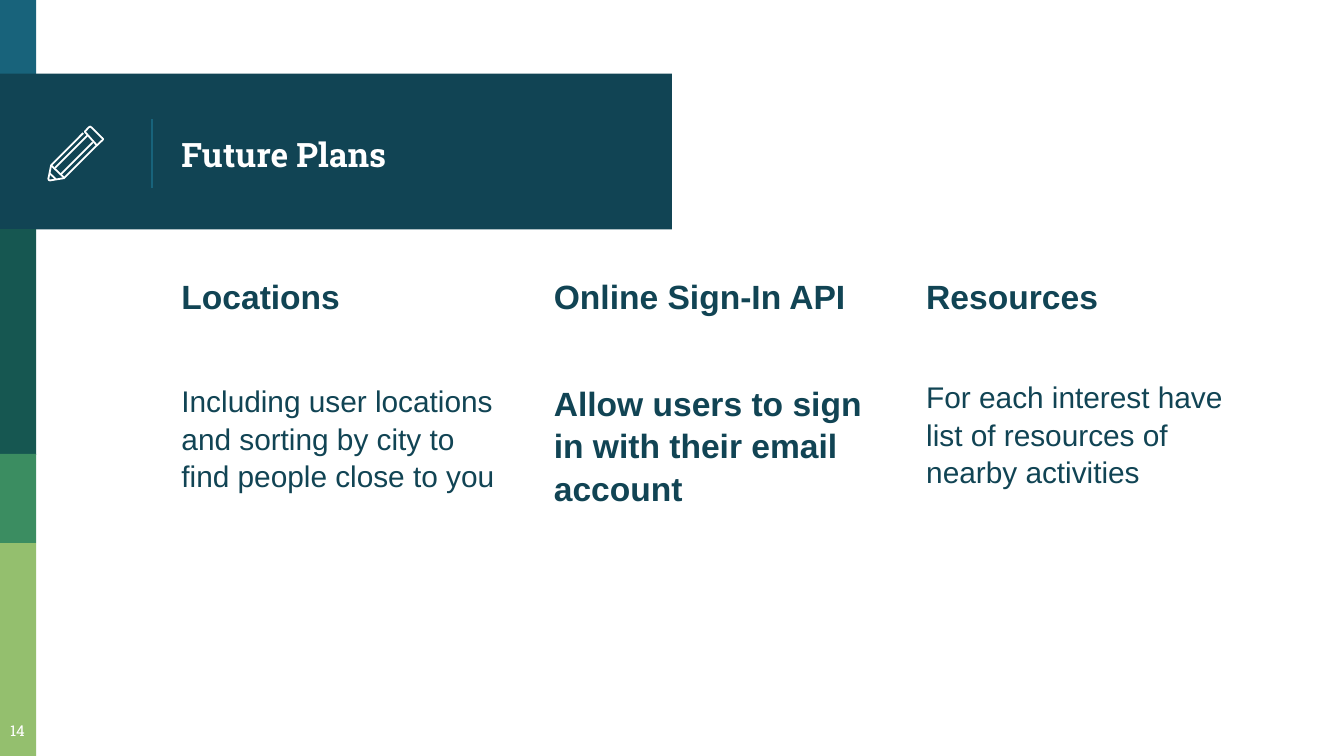
from lxml.etree import SubElement
from pptx import Presentation
from pptx.dml.color import RGBColor
from pptx.enum.shapes import MSO_CONNECTOR, MSO_SHAPE
from pptx.enum.text import MSO_ANCHOR, MSO_AUTO_SIZE, PP_ALIGN
from pptx.oxml.ns import qn
from pptx.util import Pt

NAVY, BLUE, WHITE = "114454", "18637B", "FFFFFF"
STRIPE_WIDTH = 19.4
COLUMN_LEFT, COLUMN_PITCH = 90, 199.5
BANDS = [
    (0, 42, STRIPE_WIDTH, BLUE),
    (39.5, 83.5, 360, NAVY),
    (122.7, 121, STRIPE_WIDTH, "165751"),
    (243.2, 47.8, STRIPE_WIDTH, "3B8D61"),
    (291, 114, STRIPE_WIDTH, "94BF6E"),
]
PLANS = [
    ("Locations",
     "Including user locations and sorting by city to find people close to you",
     16, False, 34.5),
    ("Online Sign-In API",
     "Allow users to sign in with their email account",
     18, True, 34.5),
    ("Resources",
     "For each interest have list of resources of nearby activities",
     16, False, 32.5),
]
PENCIL_STROKES = [
    ([(45.4, 70.6), (47.5, 68.3), (48.2, 67.8), (49, 68.3), (54.8, 74),
      (55.3, 74.6), (54.8, 75.2), (51.9, 77.9)], True),
    ([(49.7, 76.3), (32.4, 93.6)], False),
    ([(44.6, 71.3), (27.4, 88.6), (25.9, 95.8), (26.1, 96.5), (26.8, 96.7),
      (34.3, 95.5), (51.9, 77.9)], False),
    ([(29.5, 90), (46.8, 72.7)], False),
    ([(30, 96), (26.6, 92.8)], False),
    ([(27.4, 88.6), (34.4, 95.2)], False),
]


def color(hex_code):
    """Turn a hex string into a colour."""
    return RGBColor.from_string(hex_code)


def place(shape, left, top, width, height):
    """Move and size a shape, in points."""
    shape.left, shape.top = Pt(left), Pt(top)
    shape.width, shape.height = Pt(width), Pt(height)


def set_frame(frame, anchor=MSO_ANCHOR.TOP):
    """Give a text frame even insets, wrapping and an anchor."""
    frame.auto_size = MSO_AUTO_SIZE.NONE
    frame.word_wrap = True
    frame.vertical_anchor = anchor
    frame.margin_left = frame.margin_right = Pt(7.2)
    frame.margin_top = frame.margin_bottom = Pt(7.2)


def write(paragraph, text, size, hex_code, face, bold=False,
          align=PP_ALIGN.LEFT):
    """Fill a paragraph and set its font and alignment."""
    paragraph.text = text
    paragraph.alignment = align
    font = paragraph.font
    font.name, font.size, font.bold = face, Pt(size), bold
    font.color.rgb = color(hex_code)


def add_band(slide, top, height, width, hex_code):
    """Draw a flat band from the left edge."""
    band = slide.shapes.add_shape(
        MSO_SHAPE.RECTANGLE, Pt(0), Pt(top), Pt(width), Pt(height))
    band.shadow.inherit = False
    band.fill.solid()
    band.fill.fore_color.rgb = color(hex_code)
    band.line.fill.background()


def add_divider(slide):
    """Draw the thin upright line beside the title."""
    divider = slide.shapes.add_connector(
        MSO_CONNECTOR.STRAIGHT, Pt(81.4), Pt(64), Pt(81.4), Pt(100.8))
    divider.line.color.rgb = color(BLUE)
    divider.line.width = Pt(0.75)
    SubElement(divider._element.spPr, qn("a:effectLst"))


def add_stroke(slide, points, closed):
    """Draw one white outline of the pencil."""
    vertices = [(Pt(x), Pt(y)) for x, y in points]
    builder = slide.shapes.build_freeform(*vertices[0])
    builder.add_line_segments(vertices[1:], close=closed)
    stroke = builder.convert_to_shape()
    stroke.shadow.inherit = False
    stroke.fill.background()
    stroke.line.color.rgb = color(WHITE)
    stroke.line.width = Pt(0.96)


def add_title(slide):
    """Set the title in the dark band."""
    title = slide.shapes.title
    place(title, 90, 42, 252.7, 80.6)
    set_frame(title.text_frame, MSO_ANCHOR.MIDDLE)
    write(title.text_frame.paragraphs[0], "Future Plans", 18, WHITE,
          "Roboto Slab", True)


def fill_column(column, left, heading, detail, size, bold, gap):
    """Set one plan as a heading and its detail."""
    place(column, left, 139.7, 190, 248.4)
    frame = column.text_frame
    set_frame(frame)
    lines = [(heading, 18, True, 6), (detail, size, bold, gap)]
    for number, (text, points, heavy, before) in enumerate(lines):
        paragraph = frame.add_paragraph() if number else frame.paragraphs[0]
        paragraph.space_before = Pt(before)
        paragraph.line_spacing = 1.05
        properties = paragraph._p.get_or_add_pPr()
        properties.set("marL", "0")
        properties.set("indent", "0")
        SubElement(properties, qn("a:buNone"))
        write(paragraph, text, points, NAVY, "Arial", heavy)


def add_page_number(slide):
    """Write the page number at the foot of the stripe."""
    box = slide.shapes.add_textbox(Pt(-4.3), Pt(379.4), Pt(27.4), Pt(25.2))
    set_frame(box.text_frame)
    write(box.text_frame.paragraphs[0], "14", 8, WHITE, "Roboto Slab",
          align=PP_ALIGN.CENTER)


def main():
    """Build the slide and save it."""
    deck = Presentation()
    deck.slide_width, deck.slide_height = Pt(720), Pt(405)
    slide = deck.slides.add_slide(deck.slide_layouts.get_by_name("Comparison"))
    _, *columns, spare = slide.placeholders
    spare._element.getparent().remove(spare._element)
    for band in BANDS:
        add_band(slide, *band)
    add_divider(slide)
    add_title(slide)
    for number, (column, plan) in enumerate(zip(columns, PLANS)):
        fill_column(column, COLUMN_LEFT + number * COLUMN_PITCH, *plan)
    for points, closed in PENCIL_STROKES:
        add_stroke(slide, points, closed)
    add_page_number(slide)
    # Placeholders come first in the tree, so the title is raised above its band.
    tree = slide.shapes._spTree
    tree.append(slide.shapes.title._element)
    deck.save("out.pptx")


if __name__ == "__main__":
    main()
